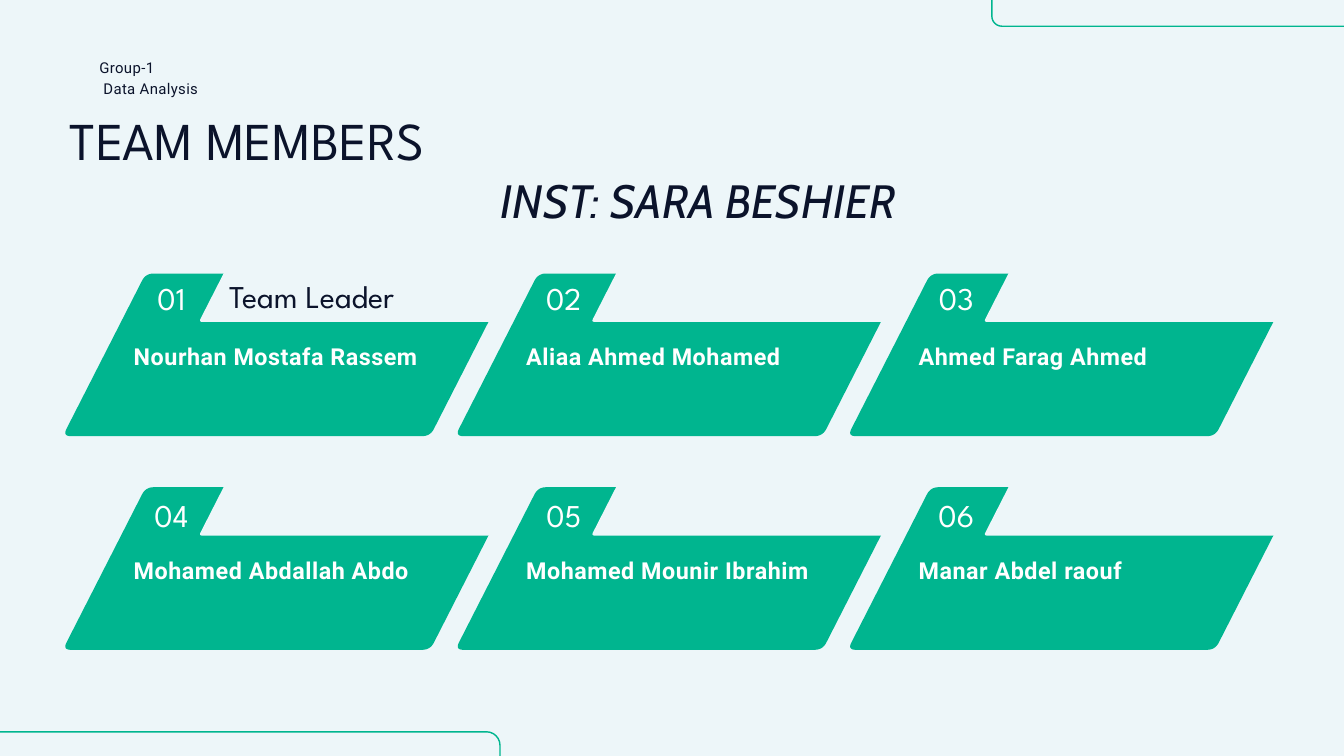
"""Build the team members slide with six numbered name cards."""
from math import hypot

from pptx import Presentation
from pptx.dml.color import RGBColor
from pptx.enum.shapes import MSO_SHAPE
from pptx.enum.text import MSO_ANCHOR, MSO_AUTO_SIZE, PP_ALIGN
from pptx.util import Inches, Pt

COLORS = {"paper": "EDF6F9", "ink": "0B132B", "green": "00B58F", "white": "FFFFFF"}
HEADING, BODY = "League Spartan", "Roboto"
SLANT = 0.51
FIRST_COLUMN, COLUMN_STEP = 0.98, 5.84
FIRST_ROW, ROW_STEP = 4.07, 3.18
NUMBER_TOPS = [4.24, 7.47]
MEMBERS = [
    ["Nourhan Mostafa Rassem", "Aliaa Ahmed Mohamed", "Ahmed Farag Ahmed"],
    ["Mohamed Abdallah Abdo", "Mohamed Mounir Ibrahim", "Manar Abdel raouf"],
]

deck = Presentation()
deck.slide_width, deck.slide_height = Inches(20), Inches(11.25)
slide = deck.slides.add_slide(deck.slide_layouts[5])
slide.background.fill.solid()
slide.background.fill.fore_color.rgb = RGBColor.from_string(COLORS["paper"])


def write(text, place, size, leading, font=HEADING, color="ink", bold=False, italic=False,
          align=PP_ALIGN.LEFT, tracking=0, indents=(0,), holder=None):
    left, top, width, height = map(Inches, place)
    holder = holder or slide.shapes.add_textbox(left, top, width, height)
    holder.left, holder.top, holder.width, holder.height = left, top, width, height
    frame = holder.text_frame
    frame.margin_left = frame.margin_right = frame.margin_top = frame.margin_bottom = 0
    frame.word_wrap = True
    frame.auto_size = MSO_AUTO_SIZE.SHAPE_TO_FIT_TEXT
    frame.vertical_anchor = MSO_ANCHOR.TOP
    frame.text = text
    for paragraph, indent in zip(frame.paragraphs, indents):
        paragraph.alignment = align
        paragraph.line_spacing = Pt(leading)
        paragraph._p.get_or_add_pPr().set("marL", str(Inches(indent)))
        for run in paragraph.runs:
            run.font.name, run.font.size = font, Pt(size)
            run.font.bold, run.font.italic = bold, italic
            run.font.color.rgb = RGBColor.from_string(COLORS[color])
            if tracking:
                run.font._element.set("spc", str(round(tracking * 100)))


def add_slab(left, top, width, height, trim, color):
    lean, overhang = SLANT * height, SLANT * trim * 0.75
    right, bottom = left + width + overhang, top + height
    left -= overhang
    corners = [(left + lean, top), (right, top), (right - lean, bottom), (left, bottom)]
    outline = []
    for i, (x, y) in enumerate(corners):
        ends = []
        for nx, ny in (corners[i - 1], corners[(i + 1) % 4]):
            share = trim / hypot(nx - x, ny - y)
            ends.append((x + (nx - x) * share, y + (ny - y) * share))
        (ax, ay), (bx, by) = ends
        for t in [step / 8 for step in range(9)]:
            a, c, b = (1 - t) ** 2, 2 * t * (1 - t), t ** 2
            outline.append((Inches(a * ax + c * x + b * bx), Inches(a * ay + c * y + b * by)))
    builder = slide.shapes.build_freeform(*outline[0])
    builder.add_line_segments(outline[1:], close=True)
    slab = builder.convert_to_shape()
    slab.shadow.inherit = False
    slab.fill.solid()
    slab.fill.fore_color.rgb = RGBColor.from_string(COLORS[color])
    slab.line.fill.background()


write("TEAM MEMBERS", (1.04, 1.76, 7.77, 0.84), 57, 57, holder=slide.shapes.title)
write("Group-1\nData Analysis", (1.48, 0.83, 2.6, 0.9), 16, 22.4, font=BODY,
      tracking=0.4, indents=(0, 0.06))

for row, (names, number_top) in enumerate(zip(MEMBERS, NUMBER_TOPS)):
    top = FIRST_ROW + row * ROW_STEP
    for column, name in enumerate(names):
        left = FIRST_COLUMN + column * COLUMN_STEP
        number = row * len(names) + column + 1
        add_slab(left, top, 6.61, 2.42, 0.12, "green")
        add_slab(left + 2, top - 0.13, 4.77, 0.85, 0.05, "paper")
        write(f"{number:02}", (left + 1.16, number_top, 0.82, 0.49), 34, 34,
              color="white", align=PP_ALIGN.CENTER)
        write(name, (left + 1.01, top + 0.95, 4.59, 0.46), 25, 35, font=BODY,
              color="white", bold=True, tracking=0.6)

write("Team Leader", (3.41, 4.22, 3.57, 0.49), 34, 34)

for left, top, width, radius in [(-3.45, 10.89, 10.89, 0.2), (14.76, -0.86, 14.54, 0.15)]:
    border = slide.shapes.add_shape(MSO_SHAPE.ROUNDED_RECTANGLE, Inches(left), Inches(top),
                                    Inches(width), Inches(1.25))
    border.adjustments[0] = radius / 1.25
    border.shadow.inherit = False
    border.fill.background()
    border.line.color.rgb = RGBColor.from_string(COLORS["green"])
    border.line.width = Pt(1.5)

write("INST: SARA BESHIER", (7.45, 2.69, 8.29, 0.73), 50, 50, font="Cabin", italic=True)

deck.save("out.pptx")
